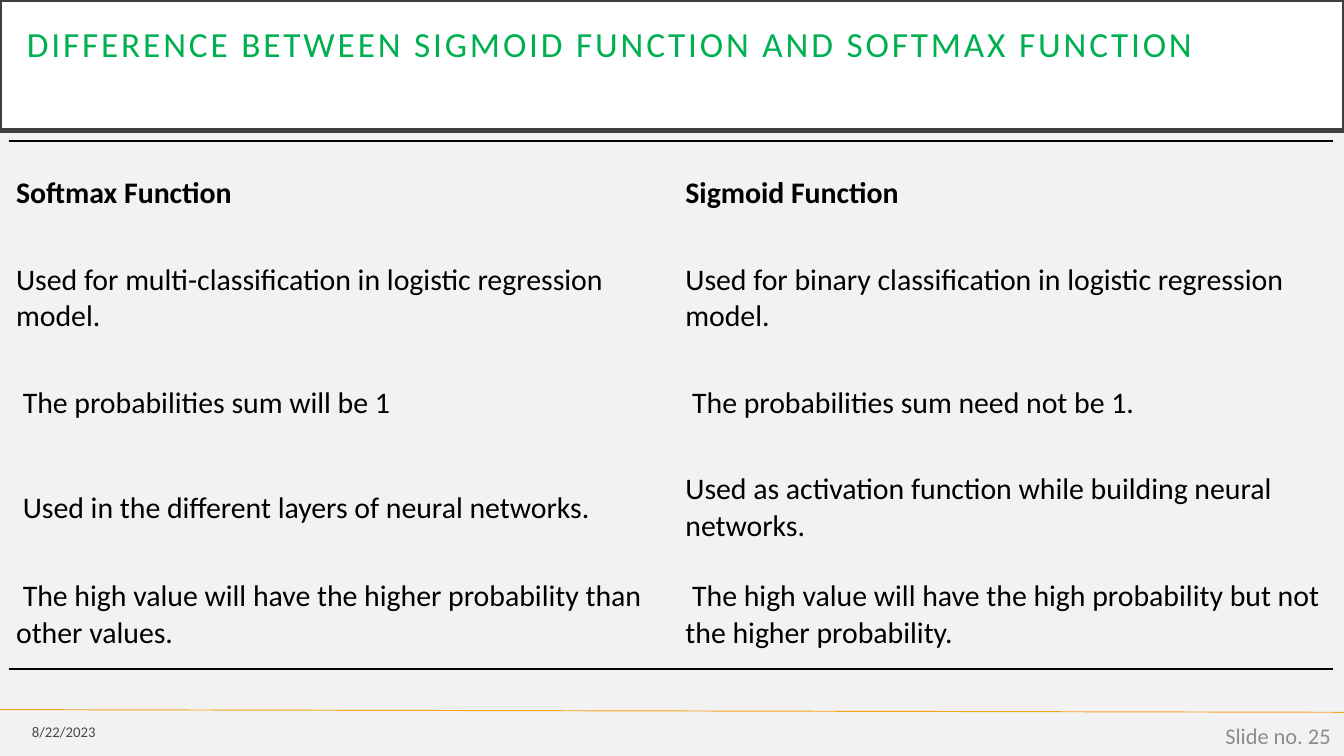
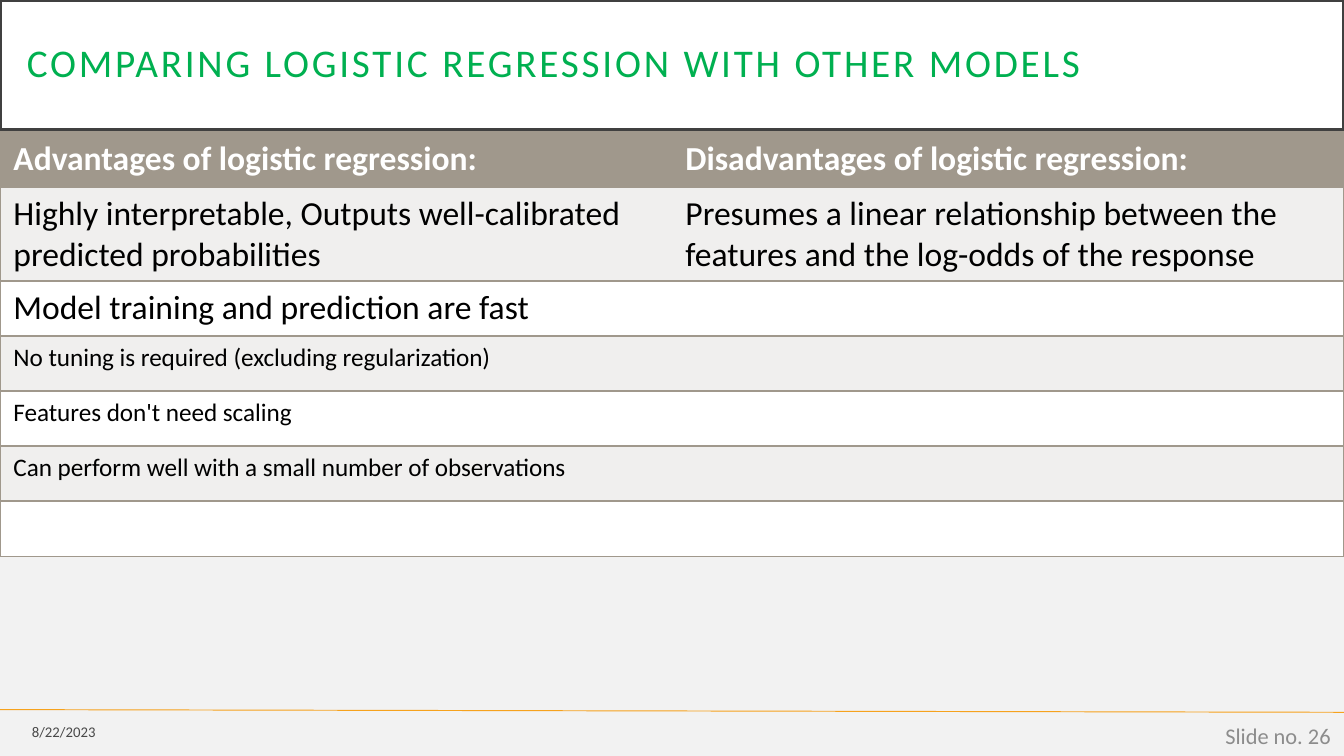
"""Builds two slides that compare logistic regression functions and models."""
from dataclasses import dataclass

from lxml.etree import SubElement
from pptx import Presentation
from pptx.dml.color import RGBColor
from pptx.enum.shapes import MSO_CONNECTOR, MSO_SHAPE
from pptx.enum.text import MSO_ANCHOR, PP_ALIGN
from pptx.oxml.ns import qn
from pptx.util import Inches, Pt


@dataclass(frozen=True)
class Theme:
    """Colours, font and type sizes of the deck."""
    font: str = "Calibri"
    background: str = "F2F2F2"
    white: str = "FFFFFF"
    ink: str = "000000"
    title: str = "00B050"
    frame: str = "404040"
    rule: str = "F6A21D"
    header: str = "A0988C"
    band: str = "F0EFEE"
    muted: str = "8C8C8C"
    title_spacing: int = 150
    date_alpha: int = 70000
    date_size: float = 7.9
    number_size: float = 12
    detail_size: float = 13.5
    function_size: float = 16
    model_size: float = 18
    long_title_size: float = 18.9
    title_size: float = 21
    plain_table: str = "{2D5ABB26-0587-4C30-8999-92F81FD0307C}"


THEME = Theme()
WIDTH = 10
HEIGHT = WIDTH * 9 / 16

FUNCTIONS = [
    ("Softmax Function", "Sigmoid Function"),
    ("Used for multi-classification in logistic regression model.",
     "Used for binary classification in logistic regression model."),
    (" The probabilities sum will be 1",
     " The probabilities sum need not be 1."),
    (" Used in the different layers of neural networks.",
     "Used as activation function while building neural networks."),
    (" The high value will have the higher probability than other values.",
     " The high value will have the high probability but not the higher probability."),
]
MODELS = [
    ("Advantages of logistic regression:", "Disadvantages of logistic regression:"),
    ("Highly interpretable, Outputs well-calibrated predicted probabilities",
     "Presumes a linear relationship between the features and the log-odds of the response"),
    ("Model training and prediction are fast", ""),
    ("No tuning is required (excluding regularization)", ""),
    ("Features don't need scaling", ""),
    ("Can perform well with a small number of observations", ""),
    ("", ""),
]


class Deck:
    """Holds the style and the current slide."""

    def __init__(self, theme):
        """Start an empty presentation."""
        self.theme = theme
        self.presentation = Presentation()
        self.presentation.slide_width = Inches(WIDTH)
        self.presentation.slide_height = Inches(HEIGHT)
        self.slide = None

    def start(self, title, size, number, anchor=MSO_ANCHOR.MIDDLE):
        """Add a slide with its rule, title band and footer."""
        theme = self.theme
        self.slide = self.presentation.slides.add_slide(self.presentation.slide_layouts[6])
        self.slide.background.fill.solid()
        self.slide.background.fill.fore_color.rgb = RGBColor.from_string(theme.background)
        self.rule(5.28, 5.3)
        self.title(title, size, anchor)
        date = self.footer("8/22/2023", 0, 5.31, 0.81, 0.27, theme.date_size, theme.ink)
        colour = date.font.fill._xPr.find(qn("a:solidFill"))[0]
        SubElement(colour, qn("a:alpha"), val=str(theme.date_alpha))
        self.footer(f"Slide no. {number}", 7.75, 5.32, 2.25, 0.3,
                    theme.number_size, theme.muted)

    def run(self, paragraph, text, size, colour, bold=False):
        """Add one styled run."""
        run = paragraph.add_run()
        run.text = text
        run.font.name = self.theme.font
        run.font.size = Pt(size)
        run.font.bold = bold
        run.font.color.rgb = RGBColor.from_string(colour)
        return run

    def rule(self, start, end):
        """Draw the thin rule above the footer."""
        rule = self.slide.shapes.add_connector(
            MSO_CONNECTOR.STRAIGHT, Inches(0), Inches(start), Inches(WIDTH), Inches(end))
        rule.line.color.rgb = RGBColor.from_string(self.theme.rule)
        rule.line.width = Pt(0.5)
        SubElement(rule._element.spPr, qn("a:effectLst"))

    def title(self, text, size, anchor):
        """Draw the framed title band."""
        band = self.slide.shapes.add_shape(
            MSO_SHAPE.RECTANGLE, Inches(0), Inches(0), Inches(WIDTH), Inches(0.97))
        band.shadow.inherit = False
        band.fill.solid()
        band.fill.fore_color.rgb = RGBColor.from_string(self.theme.white)
        band.line.color.rgb = RGBColor.from_string(self.theme.frame)
        band.line.width = Pt(2.5)
        frame = band.text_frame
        frame.word_wrap = True
        frame.vertical_anchor = anchor
        frame.margin_left = frame.margin_right = Inches(0.2)
        frame.margin_top = frame.margin_bottom = Inches(0.2)
        paragraph = frame.paragraphs[0]
        paragraph.alignment = PP_ALIGN.LEFT
        paragraph.line_spacing = 0.9
        heading = self.run(paragraph, text, size, self.theme.title)
        heading.font._element.set("spc", str(self.theme.title_spacing))

    def footer(self, text, left, top, width, height, size, colour):
        """Add a right-aligned footer text and return its run."""
        box = self.slide.shapes.add_textbox(
            Inches(left), Inches(top), Inches(width), Inches(height))
        frame = box.text_frame
        frame.word_wrap = True
        frame.vertical_anchor = MSO_ANCHOR.MIDDLE
        frame.paragraphs[0].alignment = PP_ALIGN.RIGHT
        return self.run(frame.paragraphs[0], text, size, colour)

    def table(self, rows, left, top, widths, heights):
        """Add a table without a preset style."""
        table = self.slide.shapes.add_table(
            len(rows), len(widths), Inches(left), Inches(top),
            Inches(sum(widths)), Inches(sum(heights))).table
        table._tbl.tblPr.find(qn("a:tableStyleId")).text = self.theme.plain_table
        table.horz_banding = False
        for column, width in zip(table.columns, widths):
            column.width = Inches(width)
        for row, height in zip(table.rows, heights):
            row.height = Inches(height)
        return table

    def cell(self, cell, text, size, colour, bold, fill=None):
        """Fill one table cell with its text and colour."""
        if fill:
            cell.fill.solid()
            cell.fill.fore_color.rgb = RGBColor.from_string(fill)
        else:
            cell.fill.background()
        if text:
            self.run(cell.text_frame.paragraphs[0], text, size, colour, bold)

    def borders(self, cell, sides, colour):
        """Draw the given sides of a cell, in the order L, R, T, B."""
        properties = cell._tc.get_or_add_tcPr()
        for side in sides:
            line = SubElement(properties, qn(f"a:ln{side}"), w=str(Pt(1)))
            SubElement(SubElement(line, qn("a:solidFill")), qn("a:srgbClr"), val=colour)


def add_functions(deck):
    """Add the slide on the sigmoid and softmax functions."""
    theme = deck.theme
    deck.start("DIFFERENCE BETWEEN SIGMOID FUNCTION AND SOFTMAX FUNCTION",
               theme.long_title_size, 25, MSO_ANCHOR.TOP)
    table = deck.table(FUNCTIONS, 0.07, 1.05, [4.98, 4.87], [0.78] * 4 + [0.81])
    edges = {0: "T", len(FUNCTIONS) - 1: "B"}
    for row, texts in enumerate(FUNCTIONS):
        for column, text in enumerate(texts):
            cell = table.cell(row, column)
            cell.vertical_anchor = MSO_ANCHOR.MIDDLE
            cell.margin_left = cell.margin_right = Inches(0.05)
            deck.borders(cell, edges.get(row, ""), theme.ink)
            deck.cell(cell, text, theme.function_size, theme.ink, row == 0)


def add_models(deck):
    """Add the slide on the strengths and limits of logistic regression."""
    theme = deck.theme
    deck.start("COMPARING LOGISTIC REGRESSION WITH OTHER MODELS", theme.title_size, 26)
    table = deck.table(MODELS, 0, 0.98, [5, 5], [0.41] * len(MODELS))
    for row, texts in enumerate(MODELS):
        header = row == 0
        fill = theme.header if header else theme.band if row % 2 else theme.white
        size = theme.model_size if row < 3 else theme.detail_size
        for column, text in enumerate(texts):
            cell = table.cell(row, column)
            deck.borders(cell, "LR"[column] + "TB", theme.header)
            deck.cell(cell, text, size, theme.white if header else theme.ink, header, fill)


def main():
    """Build and save the deck."""
    deck = Deck(THEME)
    add_functions(deck)
    add_models(deck)
    deck.presentation.save("out.pptx")


if __name__ == "__main__":
    main()
